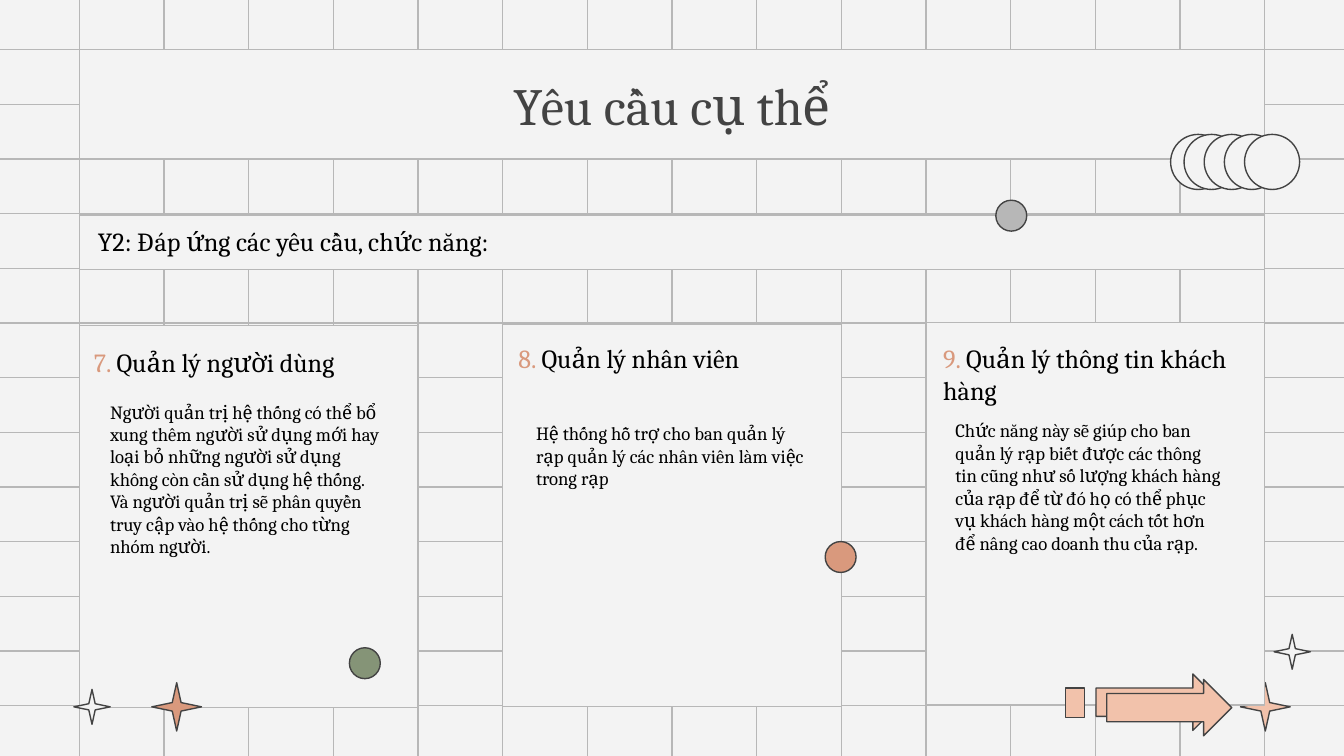
"""Build the slide of specific requirements: three cards over a brick grid."""
from lxml.etree import SubElement
from pptx import Presentation
from pptx.dml.color import RGBColor
from pptx.enum.shapes import MSO_CONNECTOR, MSO_SHAPE
from pptx.enum.text import MSO_ANCHOR, PP_ALIGN
from pptx.oxml.ns import qn
from pptx.util import Inches, Pt

WIDTH = 10
HEIGHT = WIDTH * 9 / 16
PAPER, GRID, INK, BLACK = "F3F3F3", "B7B7B7", "434343", "000000"
ORANGE, PEACH, GREEN = "D9997D", "F2C2AB", "859477"
FONT = "Cambria"

LEFT, COLUMN, COLUMNS = 0.59, 0.63, 15
TOP, BOTTOM, ROWS = 0.37, 5.25, 13
ROW = (BOTTOM - TOP) / (ROWS - 1)
BAND_WIDTH = COLUMN * (COLUMNS - 1)
CARD_WIDTH, CARD_HEIGHT = 4 * COLUMN, 7 * ROW
ACROSS, DOWN = (-0.04, 5, 10.04), (-0.03, 2.81, 5.66)

TITLE = "Yêu cầu cụ thể"
SUBTITLE = "Y2: Đáp ứng các yêu cầu, chức năng:"
CARDS = [
    {"number": "7. ", "heading": "Quản lý người dùng", "top": 2.42,
     "heading_at": (0.6, 2.53, 2.52, 0.81), "body_at": (0.72, 2.93, 2.21, 1.45),
     "body": "Người quản trị hệ thống có thể bổ xung thêm người sử dụng mới hay "
             "loại bỏ những người sử dụng không còn cần sử dụng hệ thống. "
             "Và người quản trị sẽ phân quyền truy cập vào hệ thống cho từng nhóm người."},
    {"number": "8. ", "heading": "Quản lý nhân viên", "top": 2.41,
     "heading_at": (3.76, 2.5, 2.47, 0.57), "body_at": (3.89, 3.09, 2.21, 0.61),
     "body": "Hệ thống hỗ trợ cho ban quản lý rạp quản lý các nhân viên làm việc "
             "trong rạp"},
    {"number": "9. ", "heading": "Quản lý thông tin khách hàng", "top": 2.4,
     "heading_at": (6.92, 2.5, 2.33, 1.04), "body_at": (7.01, 3.07, 2.21, 1.28),
     "body": "Chức năng này sẽ giúp cho ban quản lý rạp biết được các thông tin "
             "cũng như số lượng khách hàng của rạp để từ đó họ có thể phục vụ "
             "khách hàng một cách tốt hơn để nâng cao doanh thu của rạp."},
]
RIGHT_STARS = [(9.23, 5.08, 0.37, 0.36, PEACH), (9.48, 4.72, 0.27, 0.26, PAPER)]
LEFT_STARS = [(1.13, 5.08, 0.37, 0.36, ORANGE), (0.55, 5.13, 0.27, 0.26, PAPER)]
RING_LEFTS = [8.71, 8.81, 8.96, 9.11, 9.26]
DOTS = [(7.41, 1.49, GRID), (2.6, 4.82, GREEN), (6.14, 4.03, ORANGE)]
ARROWS = [(8.41, 4.76), (8.49, 4.8)]


def color(value):
    """Turn a hex string into a colour."""
    return RGBColor.from_string(value)


presentation = Presentation()
presentation.slide_width, presentation.slide_height = Inches(WIDTH), Inches(HEIGHT)
slide = presentation.slides.add_slide(presentation.slide_layouts[6])
slide.background.fill.solid()
slide.background.fill.fore_color.rgb = color(PAPER)


def add_line(x1, y1, x2, y2):
    """Draw one grid line."""
    line = slide.shapes.add_connector(
        MSO_CONNECTOR.STRAIGHT, *map(Inches, (x1, y1, x2, y2)))
    line.line.color.rgb, line.line.width = color(GRID), Pt(0.75)
    SubElement(line._element.spPr, qn("a:effectLst"))


def add_shape(kind, left, top, width, height, fill=PAPER, outline=INK):
    """Draw a filled and outlined shape."""
    shape = slide.shapes.add_shape(kind, *map(Inches, (left, top, width, height)))
    shape.shadow.inherit = False
    shape.fill.solid()
    shape.fill.fore_color.rgb = color(fill)
    shape.line.color.rgb, shape.line.width = color(outline), Pt(0.75)
    return shape


def write(shape, size, *runs):
    """Write one paragraph of (text, colour) runs."""
    shape.text_frame.word_wrap = True
    paragraph = shape.text_frame.paragraphs[0]
    for text, tint in runs:
        run = paragraph.add_run()
        run.text = text
        for name, value in {"size": Pt(size), "name": FONT}.items():
            setattr(run.font, name, value)
        run.font.color.rgb = color(tint)
    return paragraph


def add_text(at, size, *runs):
    """Place a wrapping text box."""
    write(slide.shapes.add_textbox(*map(Inches, at)), size, *runs)


def add_stars(stars):
    """Draw thin four-pointed stars."""
    for star in stars:
        add_shape(MSO_SHAPE.STAR_4_POINT, *star).adjustments[0] = 0.125


for start, end in zip(DOWN, DOWN[1:]):
    for column in range(COLUMNS):
        x = LEFT + column * COLUMN
        add_line(x, start, x, end)
for start, end in zip(ACROSS, ACROSS[1:]):
    for row in range(ROWS):
        y = TOP + row * ROW
        add_line(start, y, end, y)
add_stars(RIGHT_STARS)

add_shape(MSO_SHAPE.RECTANGLE, LEFT, 1.6, BAND_WIDTH, ROW, outline=GRID)
title = add_shape(MSO_SHAPE.RECTANGLE, LEFT, TOP, BAND_WIDTH, 2 * ROW, outline=GRID)
title.text_frame.vertical_anchor = MSO_ANCHOR.MIDDLE
write(title, 28, (TITLE, INK)).alignment = PP_ALIGN.CENTER

for ring_left in RING_LEFTS:
    add_shape(MSO_SHAPE.OVAL, ring_left, 1, 0.41, 0.41)
for index, card in enumerate(CARDS):
    add_shape(MSO_SHAPE.RECTANGLE, LEFT + 5 * index * COLUMN, card["top"],
              CARD_WIDTH, CARD_HEIGHT, outline=GRID)
for dot_left, dot_top, fill in DOTS:
    add_shape(MSO_SHAPE.OVAL, dot_left, dot_top, 0.23, 0.23, fill)
add_stars(LEFT_STARS)

add_shape(MSO_SHAPE.RECTANGLE, 7.93, 5.12, 0.14, 0.22, PEACH)
for arrow_left, arrow_top in ARROWS:
    add_shape(MSO_SHAPE.UP_ARROW, arrow_left, arrow_top, 0.42, 0.93, PEACH).rotation = 90

add_text((0.63, 1.63, 5.2, 0.81), 14, (SUBTITLE, BLACK))
for card in CARDS:
    add_text(card["heading_at"], 14, (card["number"], ORANGE), (card["heading"], BLACK))
    add_text(card["body_at"], 10, (card["body"], BLACK))

presentation.save("out.pptx")
